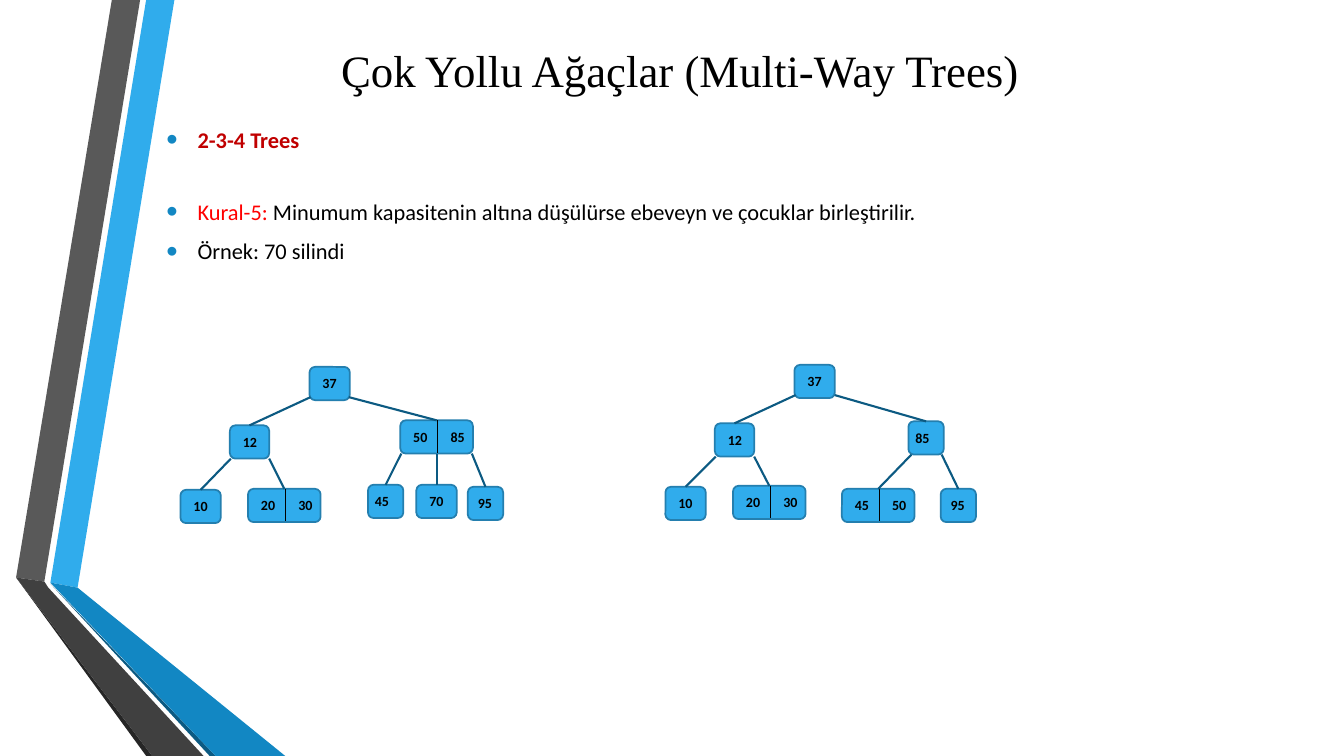
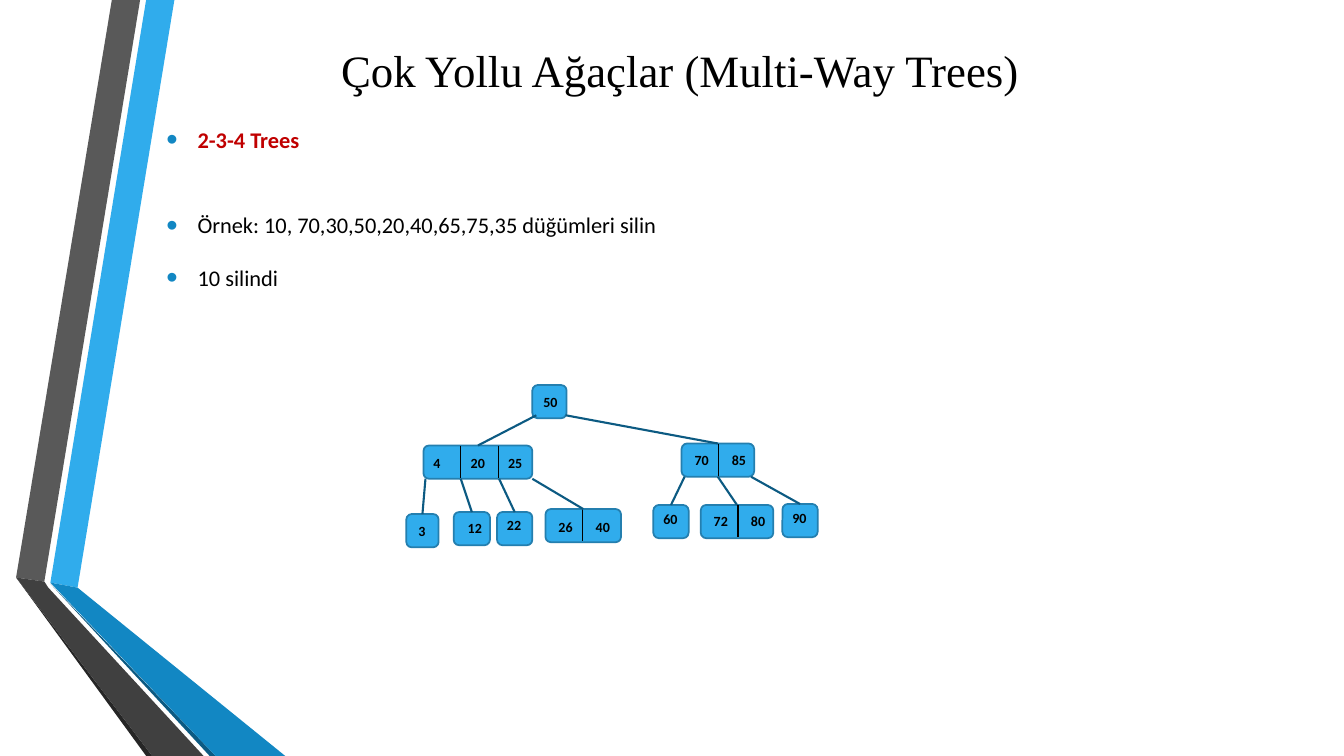
from lxml import etree
from pptx import Presentation
from pptx.dml.color import RGBColor
from pptx.enum.shapes import MSO_CONNECTOR, MSO_SHAPE
from pptx.enum.text import MSO_ANCHOR, MSO_AUTO_SIZE, PP_ALIGN
from pptx.oxml.ns import qn
from pptx.util import Inches, Pt

BLACK, SKY, BLUE, NAVY, EDGE = "000000", "30ACEC", "1287C3", "0C5A82", "247FAF"
TITLE = "Çok Yollu Ağaçlar (Multi-Way Trees)"
HEAD = {"name": "Times New Roman", "size": Pt(32)}
BODY = {"name": "Calibri", "size": Pt(16), "bold": False}
STRONG = {**BODY, "bold": True}
KEY = {"name": "Calibri", "size": Pt(10), "bold": True}
HIGH, PITCH = 0.33, 0.37  # node height, distance between keys in a node

BANDS = [
    (SKY, [(0.5, 5.78), (0.77, 5.83), (1.73, 0), (1.45, 0)]),
    ("595959", [(1.39, 0), (1.11, 0), (0.16, 5.73), (0.44, 5.77)]),
    ("262626", [(0.16, 5.73), (1.45, 7.5), (1.51, 7.5)]),
    (NAVY, [(0.5, 5.79), (2.08, 7.5), (2.14, 7.5)]),
    (BLUE, [(0.5, 5.78), (2.14, 7.5), (2.83, 7.5), (0.77, 5.83)]),
    ("404040", [(2.02, 7.5), (0.48, 5.83), (0.44, 5.77), (0.16, 5.73), (1.51, 7.5)]),
]

# Node: keys, left, top, width, text offset x and y, parent, x where the edge
# leaves the parent (None: middle of its lower side)
LEFT = [
    ("37", 3.07, 3.64, 0.4, 0.03, 0.03, None, None),
    ("12", 2.28, 4.22, 0.39, 0.03, 0.03, "37", 3.08),
    ("50 85", 3.97, 4.17, 0.72, 0.03, 0.03, "37", 3.46),
    ("10", 1.79, 4.86, 0.4, 0.03, 0.03, "12", 2.29),
    ("20 30", 2.46, 4.85, 0.72, 0.03, 0.03, "12", 2.67),
    ("45", 3.65, 4.81, 0.35, -0.03, 0.03, "50 85", 3.98),
    ("70", 4.13, 4.81, 0.4, 0.03, 0.03, "50 85", None),
    ("95", 4.64, 4.83, 0.35, 0, 0.03, "50 85", 4.68),
]
RIGHT = [
    ("37", 7.88, 3.62, 0.4, 0.03, 0.03, None, None),
    ("12", 7.09, 4.2, 0.39, 0.03, 0.03, "37", 7.89),
    ("85", 9.01, 4.18, 0.35, -0.03, 0.03, "37", 8.28),
    ("10", 6.6, 4.83, 0.4, 0.03, 0.03, "12", 7.1),
    ("20 30", 7.27, 4.82, 0.72, 0.03, 0.03, "12", 7.48),
    ("45 50", 8.35, 4.85, 0.72, 0.03, 0.03, "85", 9.04),
    ("95", 9.33, 4.85, 0.35, 0, 0.03, "85", 9.34),
]
WIDE = [
    ("50", 5.28, 3.82, 0.34, 0.01, 0.03, None, None),
    ("4 20 25", 4.2, 4.42, 1.08, 0, 0.04, "50", 5.32),
    ("70 85", 6.76, 4.4, 0.72, 0.03, 0.03, "50", 5.61),
    ("3", 4.03, 5.1, 0.32, 0.02, 0.03, "4 20 25", 4.22),
    ("12", 4.5, 5.08, 0.36, 0.04, 0.02, "4 20 25", 4.57),
    ("22", 4.93, 5.08, 0.35, 0, 0, "4 20 25", 4.95),
    ("26 40", 5.41, 5.05, 0.75, 0.03, 0.04, "4 20 25", 5.28),
    ("60", 6.48, 5.01, 0.35, 0, 0.01, "70 85", 6.79),
    ("72 80", 6.95, 5.01, 0.72, 0.03, 0.03, "70 85", None),
    ("90", 7.76, 5, 0.35, 0, 0.01, "70 85", 7.45),
]

# Slide: body height, line spacing of the points, points as runs, trees
SLIDES = [
    (1.92, 1.0, [
        [("Kural-5: ", "FF0000"),
         ("Minumum kapasitenin altına düşülürse ebeveyn ve çocuklar birleştirilir.", BLACK)],
        [("Örnek: 70 silindi", BLACK)],
    ], [LEFT, RIGHT]),
    (2.15, 1.5, [
        [("Örnek: 10, 70,30,50,20,40,65,75,35 düğümleri silin", BLACK)],
        [("10 silindi", BLACK)],
    ], [WIDE]),
]


def paint(fill, color):
    fill.solid()
    fill.fore_color.rgb = RGBColor.from_string(color)


def write(para, text, color, look):
    run = para.add_run()
    run.text = text
    for name, value in look.items():
        setattr(run.font, name, value)
    paint(run.font.fill, color)


deck = Presentation()
deck.slide_width, deck.slide_height = Inches(13.33), Inches(7.5)
layout = deck.slide_layouts[1]
pages = [deck.slides.add_slide(layout) for _ in SLIDES]

# Bands are drawn on a slide, then moved to the layout that all slides share
for i, (color, points) in enumerate(BANDS):
    dots = [(Inches(x), Inches(y)) for x, y in points]
    pen = pages[0].shapes.build_freeform(*dots[0], scale=1.0)
    pen.add_line_segments(dots[1:], close=True)
    band = pen.convert_to_shape()
    band.name = f"Band {i + 1}"
    band.shadow.inherit = False
    paint(band.fill, color)
    band.line.fill.background()
    band.element.nvSpPr.cNvPr.set("id", str(20 + i))
    layout.shapes.element.insert(2 + i, band.element)

for page, (tall, space, points, trees) in zip(pages, SLIDES):
    title, body = page.placeholders
    for holder, top, height in ((title, 0.17, 1.04), (body, 1.07, tall)):
        holder.left, holder.top = Inches(1.55), Inches(top)
        holder.width, holder.height = Inches(10.39), Inches(height)
        holder.text_frame.auto_size = MSO_AUTO_SIZE.NONE
    title.text_frame.vertical_anchor = MSO_ANCHOR.MIDDLE
    para = title.text_frame.paragraphs[0]
    para.alignment = PP_ALIGN.CENTER
    write(para, TITLE, BLACK, HEAD)

    rows = [([("2-3-4 Trees", "C00000")], STRONG, 1.5, 0, 29)]
    rows += [(runs, BODY, space, 3, 6) for runs in points]
    for i, (runs, look, pace, above, below) in enumerate(rows):
        frame = body.text_frame
        para = frame.add_paragraph() if i else frame.paragraphs[0]
        props = para._p.get_or_add_pPr()
        props.set("marL", str(Inches(0.31)))
        props.set("indent", str(-Inches(0.31)))
        tint = etree.SubElement(props, qn("a:buClr"))
        etree.SubElement(tint, qn("a:srgbClr"), val=BLUE)
        etree.SubElement(props, qn("a:buSzPct"), val="145000")
        etree.SubElement(props, qn("a:buFont"), typeface="Arial")
        etree.SubElement(props, qn("a:buChar"), char="•")
        para.line_spacing = pace
        para.space_before, para.space_after = Pt(above), Pt(below)
        for text, color in runs:
            write(para, text, color, look)

    shapes = page.shapes
    links = []
    for tree in trees:
        nodes = {}
        for keys, x, y, wide, dx, dy, parent, start in tree:
            node = shapes.add_shape(MSO_SHAPE.ROUNDED_RECTANGLE, Inches(x), Inches(y),
                                    Inches(wide), Inches(HIGH))
            node.shadow.inherit = False
            paint(node.fill, SKY)
            paint(node.line.fill, EDGE)
            node.line.width = Pt(1.25)
            nodes[keys] = node

            for i, key in enumerate(keys.split()):
                step = x + i * PITCH
                if i:
                    rule = shapes.add_connector(MSO_CONNECTOR.STRAIGHT, Inches(step), Inches(y),
                                                Inches(step), Inches(y + HIGH - 0.01))
                    links.append((rule, BLACK, 0.75))
                label = shapes.add_textbox(Inches(step + dx), Inches(y + dy),
                                           Inches(0.38), Inches(0.27))
                label.text_frame.word_wrap = True
                write(label.text_frame.paragraphs[0], key, BLACK, KEY)

            if parent:
                above = nodes[parent]
                drop = 0.3 if parent == tree[0][0] else HIGH
                edge = shapes.add_connector(MSO_CONNECTOR.STRAIGHT, Inches(start or x),
                                            above.top + Inches(drop), Inches(x), Inches(y))
                if start is None:
                    edge.begin_connect(above, 2)
                edge.end_connect(node, 0)
                links.append((edge, NAVY, 1.5))

    for link, color, width in links:
        paint(link.line.fill, color)
        link.line.width = Pt(width)
        etree.SubElement(link.element.spPr, qn("a:effectLst"))

deck.save("out.pptx")
